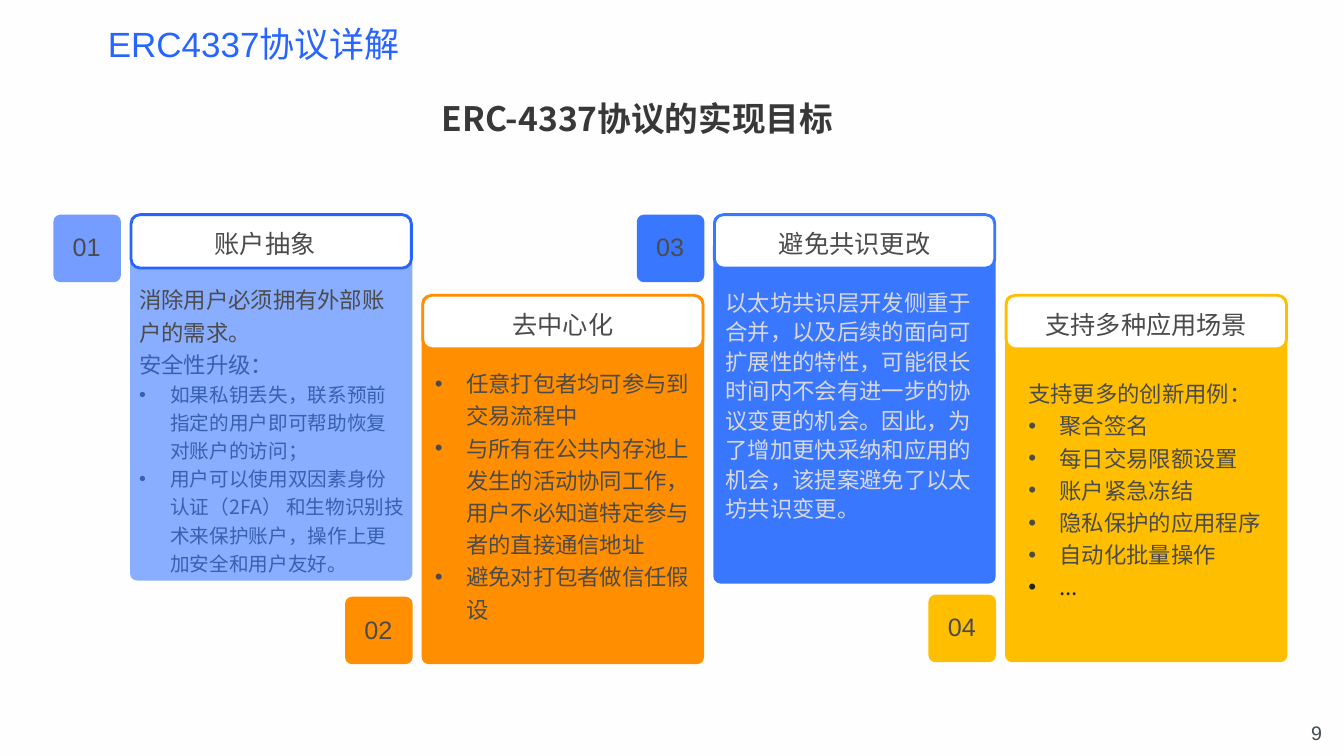
from lxml import etree
from pptx import Presentation
from pptx.dml.color import RGBColor
from pptx.enum.shapes import MSO_SHAPE
from pptx.enum.text import PP_ALIGN
from pptx.oxml.ns import qn
from pptx.util import Inches, Pt

ROUND = MSO_SHAPE.ROUNDED_RECTANGLE
LEFT, MID, RIGHT = PP_ALIGN.LEFT, PP_ALIGN.CENTER, PP_ALIGN.RIGHT
ARIAL, NOTO = "Arial", "Noto Sans CJK SC"
GREY, BLUE, PALE = "4B4B4B", "3761AF", "D9D9D9"


def block(box, fill, radius, edge=None):
    shape = slide.shapes.add_shape(ROUND, *map(Inches, box))
    shape.adjustments[0] = radius / min(box[2:])
    shape.shadow.inherit = False
    shape.fill.solid()
    shape.fill.fore_color.rgb = RGBColor.from_string(fill)
    if edge:
        shape.line.color.rgb = RGBColor.from_string(edge)
        shape.line.width = Pt(2)
    else:
        shape.line.fill.background()


def write(box, lines, font=ARIAL, align=LEFT, space=1.0, pad=(0.05, 0.05), wrap=True, bold=False):
    """Each line is (text, size, colour, has bullet)."""
    frame = slide.shapes.add_textbox(*map(Inches, box)).text_frame
    frame.word_wrap = wrap
    frame.margin_left = frame.margin_right = Inches(pad[0])
    frame.margin_top = frame.margin_bottom = Inches(pad[1])
    frame.text = "\n".join(line[0] for line in lines)
    for para, (_, size, tint, dot) in zip(frame.paragraphs, lines):
        para.alignment = align
        para.line_spacing = space
        if dot:
            props = para._p.get_or_add_pPr()
            props.set("marL", str(Inches(0.31)))
            props.set("indent", str(-Inches(0.31)))
            etree.SubElement(props, qn("a:buFont")).set("typeface", ARIAL)
            etree.SubElement(props, qn("a:buChar")).set("char", "•")
        for run in para.runs:
            run.font.name = font
            run.font.size = Pt(size)
            run.font.bold = bold
            run.font.color.rgb = RGBColor.from_string(tint)
            east = etree.SubElement(run._r.get_or_add_rPr(), qn("a:ea"))
            east.set("typeface", NOTO)


deck = Presentation()
deck.slide_width, deck.slide_height = Inches(13.33), Inches(7.5)
slide = deck.slides.add_slide(deck.slide_layouts[6])
slide.background.fill.solid()
slide.background.fill.fore_color.rgb = RGBColor.from_string("FEFEFE")

# Page number and titles
write((12.61, 7.1, 0.6, 0.24), [("9", 14, "404A4F", False)], align=RIGHT, pad=(0.1, 0.05))
write((1.02, 0.22, 2.99, 0.48), [("ERC4337协议详解", 25, "2864FF", False)], space=0.9)
write((4.33, 0.92, 4.71, 0.5), [("ERC-4337协议的实现目标", 24, "383838", False)], font=NOTO, bold=True)

# Cards: title, panel, badge and edge colours, height, title inset,
# body box (offset from card, size), font, spacing, lines
cards = [
    ("账户抽象", "89ADFF", "759CFF", "2764FE", 3.63, 0.3,
     (0.04, 0.61, 2.74, 2.98), NOTO, 1.2, [
         ("消除用户必须拥有外部账户的需求。", 16, GREY, False),
         ("安全性升级：", 16, BLUE, False),
         ("如果私钥丢失，联系预前指定的用户即可帮助恢复对账户的访问；", 14, BLUE, True),
         ("用户可以使用双因素身份认证（2FA） 和生物识别技术来保护账户，操作上更加安全和用户友好。",
          14, BLUE, True)]),
    ("去中心化", "FF8F00", "FF8F00", "FF8F00", 3.66, 0.36,
     (0.08, 0.64, 2.64, 2.68), NOTO, 1.2, [
         ("任意打包者均可参与到交易流程中", 16, GREY, True),
         ("与所有在公共内存池上发生的活动协同工作，用户不必知道特定参与者的直接通信地址",
          16, GREY, True),
         ("避免对打包者做信任假设", 16, GREY, True)]),
    ("避免共识更改", "3A77FF", "3A77FF", "3A77FF", 3.66, 0.36,
     (0.07, 0.66, 2.64, 2.83), ARIAL, 1.1, [
         ("以太坊共识层开发侧重于合并，以及后续的面向可扩展性的特性，可能很长时间内不会有进一步的"
          "协议变更的机会。因此，为了增加更快采纳和应用的机会，该提案避免了以太坊共识变更。",
          16, PALE, False)]),
    ("支持多种应用场景", "FFBF00", "FFBF00", "FFBF00", 3.64, 0.36,
     (0.18, 0.74, 2.45, 2.36), NOTO, 1.2, [
         ("支持更多的创新用例：", 16, GREY, False),
         ("聚合签名", 16, GREY, True),
         ("每日交易限额设置", 16, GREY, True),
         ("账户紧急冻结", 16, GREY, True),
         ("隐私保护的应用程序", 16, GREY, True),
         ("自动化批量操作", 16, GREY, True),
         ("...", 16, "202528", True)]),
]
FIRST, PITCH, WIDE = 1.29, 2.893, 2.8
TOP, DROP, BADGE = 2.13, 0.8, 0.67

for i, (title, fill, tone, edge, high, inset, body, font, space, lines) in enumerate(cards):
    low = i % 2
    x, y = FIRST + i * PITCH, TOP + low * DROP

    # Panel and number badge: beside the top, or beside the foot of low cards
    block((x, y, WIDE, high), fill, 0.07)
    bx, by = x - 0.76, y + low * (high - BADGE)
    block((bx, by, BADGE, BADGE), tone, 0.07)
    write((bx + 0.02, by + 0.12, 0.62, 0.52), [(f"{i + 1:02}", 18, GREY, False)],
          align=MID, pad=(0.1, 0.05), wrap=False)

    # Header and body
    block((x + 0.01, y, WIDE - 0.02, 0.53), "FFFFFF", 0.09, edge)
    write((x + inset, y + 0.08, 2.08, 0.43), [(title, 18, GREY, False)],
          align=MID, space=1.2, pad=(0, 0))
    dx, dy, *size = body
    write((x + dx, y + dy, *size), lines, font=font, space=space)

deck.save("out.pptx")
